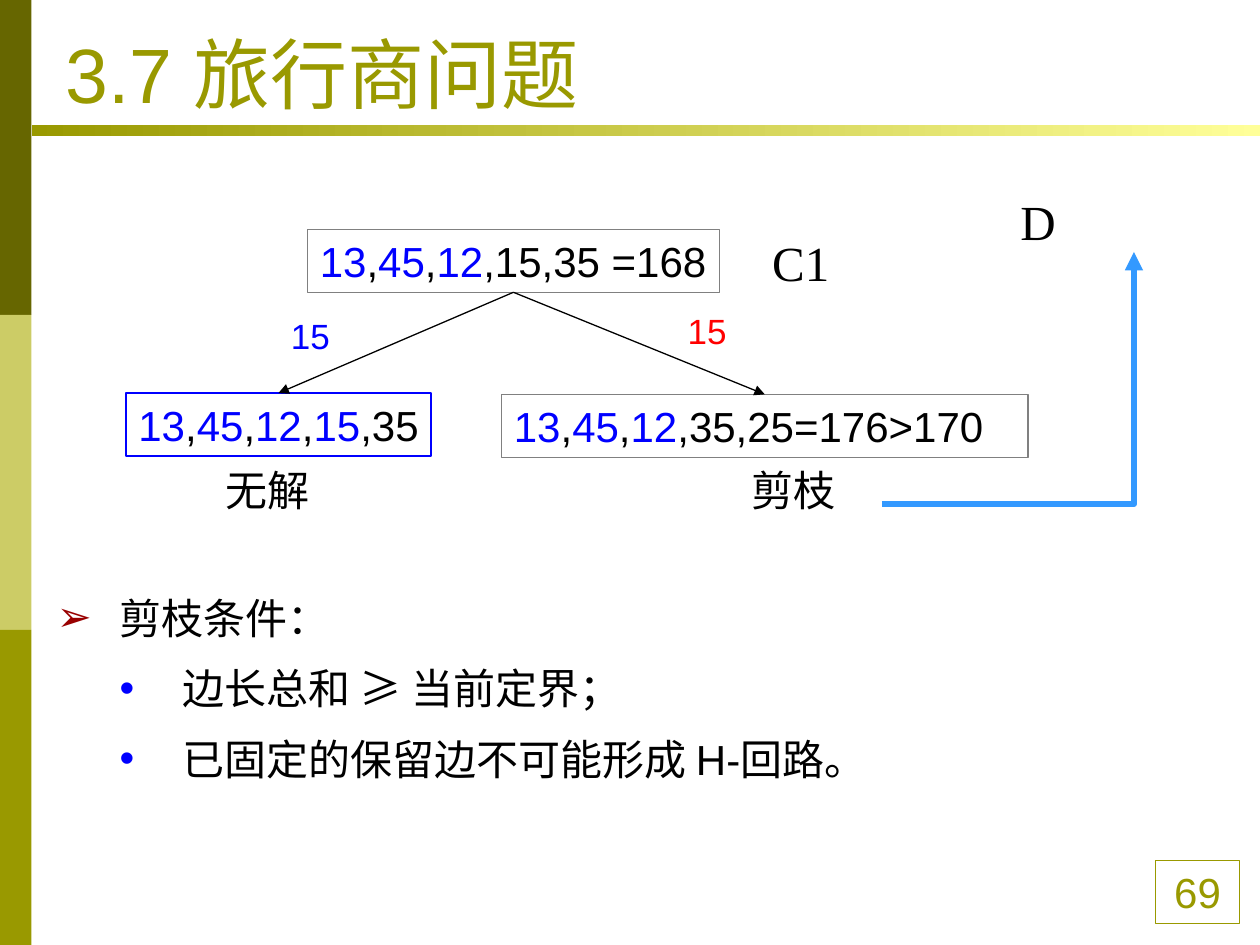
"""Build the travelling salesman slide: branch tree and pruning conditions."""
from lxml import etree
from pptx import Presentation
from pptx import util as u
from pptx.dml.color import RGBColor
from pptx.enum import shapes, text
from pptx.oxml.ns import qn

BLACK = RGBColor(0, 0, 0)
BLUE = RGBColor(0, 0, 0xFF)
RED = RGBColor(0xFF, 0, 0)
GRAY = RGBColor(0x80, 0x80, 0x80)
OLIVE = RGBColor(0x99, 0x99, 0)
DARK_OLIVE = RGBColor(0x66, 0x66, 0)
PALE_OLIVE = RGBColor(0xCC, 0xCC, 0x66)
PALE_YELLOW = RGBColor(0xFF, 0xFF, 0x99)
SKY = RGBColor(0x33, 0x99, 0xFF)
MAROON = RGBColor(0x99, 0, 0)


def inches(box):
    return [u.Inches(v) for v in box]


def add_run(p, string, color, size=24, font="Arial"):
    r = p.add_run()
    r.text = string
    r.font.color.rgb = color
    for name, value in {"size": u.Pt(size), "name": font}.items():
        setattr(r.font, name, value)


def fill_text(sp, runs, wrap=True, align=text.PP_ALIGN.LEFT,
              anchor=text.MSO_ANCHOR.TOP, **fmt):
    tf = sp.text_frame
    for name, value in {"word_wrap": wrap, "vertical_anchor": anchor}.items():
        setattr(tf, name, value)
    p = tf.paragraphs[0]
    p.alignment = align
    for string, color in runs:
        add_run(p, string, color, **fmt)


def add_label(s, box, string, color=BLACK, **fmt):
    fill_text(s.shapes.add_textbox(*inches(box)), [(string, color)], **fmt)


def add_rect(s, box, fill=None, line=None):
    sp = s.shapes.add_shape(shapes.MSO_SHAPE.RECTANGLE, *inches(box))
    sp.shadow.inherit = False
    if fill is None:
        sp.fill.background()
    else:
        sp.fill.solid()
        sp.fill.fore_color.rgb = fill
    if line is None:
        sp.line.fill.background()
    else:
        sp.line.color.rgb = line
        sp.line.width = u.Pt(0.75)
    return sp


def add_node(s, box, fixed, rest, line=GRAY, wrap=False):
    sp = add_rect(s, box, line=line)
    runs = []
    for edge in fixed:
        runs += [(edge, BLUE), (",", BLACK)]
    fill_text(sp, runs + [(rest, BLACK)], wrap)
    return sp


def style_arrow(sp, color, width):
    sp.line.color.rgb = color
    sp.line.width = u.Pt(width)
    etree.SubElement(sp.line._get_or_add_ln(), qn("a:tailEnd"), type="triangle")


def add_branch(s, parent, child):
    cx = s.shapes.add_connector(shapes.MSO_CONNECTOR.STRAIGHT, 0, 0, 0, 0)
    cx.begin_connect(parent, 2)
    cx.end_connect(child, 0)
    style_arrow(cx, BLACK, 0.75)
    etree.SubElement(cx._element.spPr, qn("a:effectLst"))


def bezier(a, b, c, d, steps=24):
    for i in range(1, steps + 1):
        t = i / steps
        k = 1 - t
        yield tuple(k**3 * a[j] + 3 * k * k * t * b[j] + 3 * k * t * t * c[j]
                    + t**3 * d[j] for j in (0, 1))


def add_curve(s, start, *segments):
    points = [start]
    for controls in segments:
        points += bezier(points[-1], *controls)
    builder = s.shapes.build_freeform(*start, scale=u.Inches(1))
    builder.add_line_segments(points[1:], close=False)
    sp = builder.convert_to_shape()
    sp.shadow.inherit = False
    sp.fill.background()
    style_arrow(sp, SKY, 3.5)


def add_bullets(s, box, items):
    tf = s.shapes.add_textbox(*inches(box)).text_frame
    tf.word_wrap = True
    for i, (level, char, color, string) in enumerate(items):
        p = tf.add_paragraph() if i else tf.paragraphs[0]
        p.level = level
        p.line_spacing = 1.4
        pPr = p._p.get_or_add_pPr()
        pPr.set("marL", str(u.Inches(0.5 * (level + 1))))
        pPr.set("indent", str(u.Inches(-0.5)))
        clr = etree.SubElement(pPr, qn("a:buClr"))
        etree.SubElement(clr, qn("a:srgbClr"), val=str(color))
        etree.SubElement(pPr, qn("a:buFont"), typeface="Arial")
        etree.SubElement(pPr, qn("a:buChar"), char=char)
        add_run(p, string, BLACK)


def add_frame(s):
    for i, color in enumerate((DARK_OLIVE, PALE_OLIVE, OLIVE)):
        add_rect(s, (0, 2.5 * i, 0.25, 2.5), color)
    number = add_rect(s, (9.17, 6.83, 0.67, 0.5), line=OLIVE)
    fill_text(number, [("69", OLIVE)], align=text.PP_ALIGN.CENTER)
    rule = add_rect(s, (0.25, 0.99, 9.75, 0.09))
    rule.fill.gradient()
    rule.fill.gradient_angle = 0
    for stop, color in zip(rule.fill.gradient_stops, (OLIVE, PALE_YELLOW)):
        stop.color.rgb = color
    add_label(s, (0.42, 0.13, 9, 0.86), "3.7 旅行商问题", OLIVE, size=44,
              anchor=text.MSO_ANCHOR.BOTTOM)


def add_tree(s):
    fixed = ["13", "45", "12"]
    root = add_node(s, (2.44, 1.82, 3.27, 0.5), fixed, "15,35 =168")
    pruned = add_node(s, (3.98, 3.13, 4.18, 0.5), fixed, "35,25=176>170", wrap=True)
    dead = add_node(s, (1, 3.12, 2.42, 0.5), fixed + ["15"], "35", BLUE)
    for child in (dead, pruned):
        add_branch(s, root, child)
    add_label(s, (2.21, 2.45, 0.51, 0.44), "15", BLUE, size=20, wrap=False)
    add_label(s, (5.36, 2.41, 0.51, 0.44), "15", RED, size=20, wrap=False)
    add_label(s, (1.69, 3.64, 1.03, 0.5), "无解")
    add_label(s, (5.87, 3.64, 1.03, 0.5), "剪枝")
    serif = {"size": 28, "font": "Times New Roman", "wrap": False}
    add_label(s, (6.03, 1.8, 0.65, 0.57), "C1", **serif)
    add_label(s, (8, 1.47, 0.48, 0.57), "D", **serif)
    add_curve(s, (7.1, 3.94),
              ((7.13, 3.94), (7.17, 3.94), (7.21, 3.94)),
              ((8.34, 3.94), (9.25, 3.41), (9.25, 2.75)),
              ((9.25, 2.41), (9, 2.09), (8.56, 1.86)))


def main():
    prs = Presentation()
    prs.slide_width, prs.slide_height = inches((10, 7.5))
    s = prs.slides.add_slide(prs.slide_layouts[6])
    add_frame(s)
    add_tree(s)
    add_bullets(s, (0.35, 4.49, 9.45, 1.78), [
        (0, "➢", MAROON, "剪枝条件："),
        (1, "•", BLUE, "边长总和 ≥ 当前定界；"),
        (1, "•", BLUE, "已固定的保留边不可能形成 H-回路。"),
    ])
    prs.save("out.pptx")


if __name__ == "__main__":
    main()
